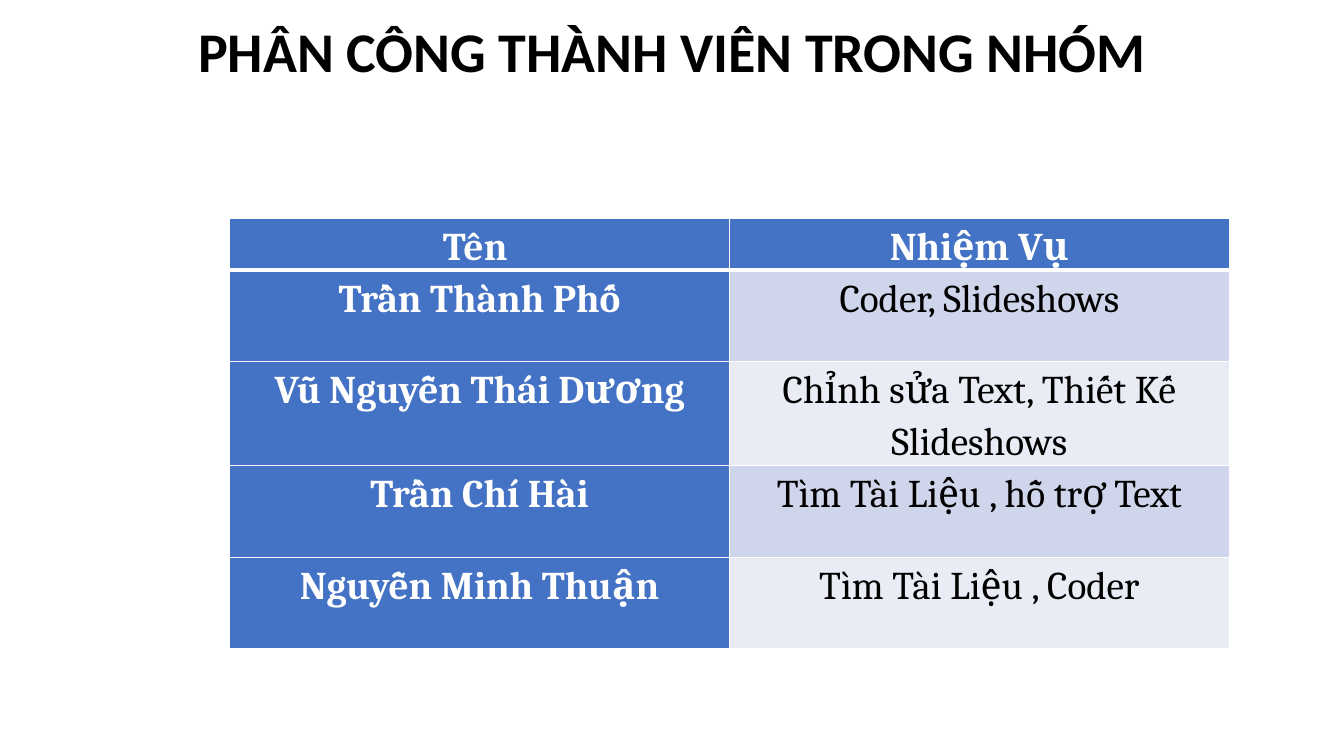
from pptx import Presentation
from pptx.dml.color import RGBColor
from pptx.enum.text import MSO_ANCHOR, PP_ALIGN
from pptx.oxml import parse_xml
from pptx.oxml.ns import nsdecls
from pptx.util import Pt

BLUE, WHITE, BLACK = "4472C4", "FFFFFF", "000000"
BANDS = ("E9EBF5", "CFD5EA")
TASKS = [
    ("Tên ", "Nhiệm Vụ"),
    ("Trần Thành Phố", "Coder, Slideshows"),
    ("Vũ Nguyễn Thái Dương", "Chỉnh sửa Text, Thiết Kế Slideshows"),
    ("Trần Chí Hài", "Tìm Tài Liệu , hỗ trợ Text"),
    ("Nguyễn Minh Thuận", "Tìm Tài Liệu , Coder"),
]


def color(code):
    """Turn a hex string into a colour."""
    return RGBColor.from_string(code)


def write(frame, text, font="Cambria", size=28, ink=BLACK, bold=False, space=1.0):
    """Put one centred, formatted line of text in a frame."""
    para = frame.paragraphs[0]
    para.alignment = PP_ALIGN.CENTER
    para.line_spacing = space
    run = para.add_run()
    run.text = text
    run.font.name, run.font.size, run.font.bold = font, Pt(size), bold
    run.font.color.rgb = color(ink)


def edge(cell, top, low):
    """Draw white borders round a cell, with given top and bottom widths."""
    props = cell._tc.get_or_add_tcPr()
    for spot, (side, width) in enumerate(zip("LRTB", (1, 1, top, low))):
        line = parse_xml(
            f'<a:ln{side} {nsdecls("a")} w="{Pt(width)}"><a:solidFill>'
            f'<a:srgbClr val="{WHITE}"/></a:solidFill></a:ln{side}>')
        props.insert(spot, line)


def head(slide, left, top, width, height):
    """Place the title in its box."""
    title = slide.shapes.title
    title.left, title.top = Pt(left), Pt(top)
    title.width, title.height = Pt(width), Pt(height)
    frame = title.text_frame
    frame.word_wrap = True
    frame.vertical_anchor = MSO_ANCHOR.MIDDLE
    write(frame, "PHÂN CÔNG THÀNH VIÊN TRONG NHÓM", font="Calibri", size=40, bold=True)


def roster(slide, left, top, width, height, first=36):
    """Fill the box with the table of members and tasks."""
    count = len(TASKS)
    table = slide.shapes.add_table(
        count, 2, Pt(left), Pt(top), Pt(width), Pt(height)).table
    table.first_col = True
    for col in table.columns:
        col.width = Pt(width / 2)
    for r, line in enumerate(TASKS):
        table.rows[r].height = Pt(first if r == 0 else (height - first) / (count - 1))
        for c, text in enumerate(line):
            cell = table.cell(r, c)
            cell.margin_left = cell.margin_right = Pt(5)
            cell.margin_top = cell.margin_bottom = 0
            strong = r == 0 or c == 0
            cell.fill.solid()
            cell.fill.fore_color.rgb = color(BLUE if strong else BANDS[r % 2])
            edge(cell, 3 if r == 1 else 1, 3 if r == 0 else 1)
            write(cell.text_frame, text, ink=WHITE if strong else BLACK,
                  bold=strong, space=1.15)


def main():
    """Build and save the slide."""
    deck = Presentation()
    deck.slide_width, deck.slide_height = Pt(960), Pt(540)
    slide = deck.slides.add_slide(deck.slide_layouts[5])
    slide.background.fill.solid()
    slide.background.fill.fore_color.rgb = color(WHITE)
    roster(slide, 164, 156, 714, 298)
    head(slide, 0, 6, 960, 60)
    deck.save("out.pptx")


if __name__ == "__main__":
    main()
